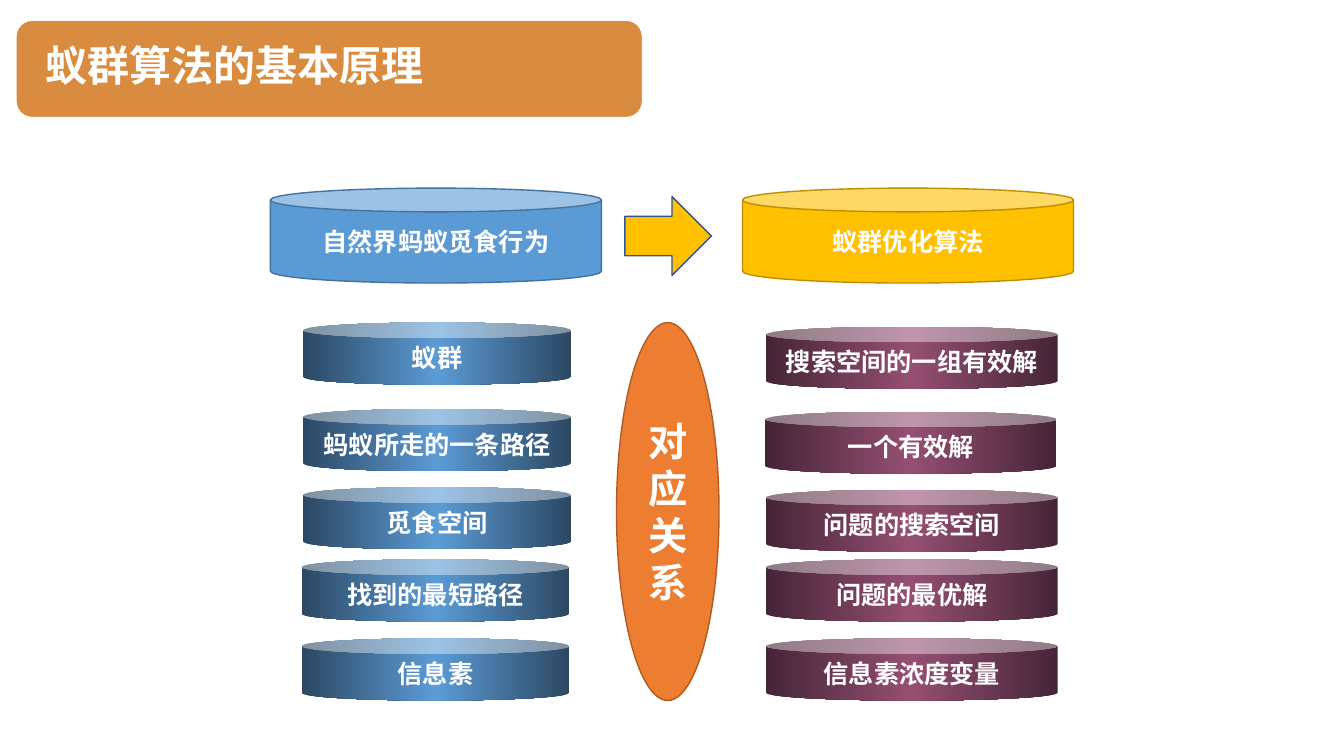
from copy import deepcopy
from dataclasses import dataclass

from pptx import Presentation
from pptx.dml.color import RGBColor
from pptx.enum.shapes import MSO_SHAPE
from pptx.enum.text import MSO_ANCHOR, MSO_AUTO_SIZE, PP_ALIGN
from pptx.oxml.ns import qn
from pptx.util import Inches, Pt


@dataclass(frozen=True)
class Theme:
    white: str = "FFFFFF"
    banner: str = "D98B3F"
    blue: tuple = ("5B9BD5", "43739E")
    gold: tuple = ("FFC000", "BD8E00")
    arrow: tuple = ("FFC000", "325491")
    orange: tuple = ("ED7D31", "AF5C24")
    blue_shine: tuple = ("2C4863", "5B9BD5", "2C4863")
    plum_shine: tuple = ("452535", "954F72", "452535")
    title_size: int = 30
    link_size: int = 28
    label_size: int = 18
    title_font: str = "Calibri"
    head_font: str = "DejaVu Sans"
    item_font: str = "Arial"
    link_font: str = "Noto Sans CJK JP"


def apply_formats(obj, formats):
    for name, value in formats.items():
        setattr(obj, name, value)


class SlideBuilder:
    COLS, ROWS = 160, 90

    def __init__(self, prs, theme):
        self.theme = theme
        self.s = prs.slides.add_slide(prs.slide_layouts[5])
        self.col = prs.slide_width / self.COLS
        self.row = prs.slide_height / self.ROWS

    def box(self, x, y, w, h):
        return {
            "left": round(x * self.col),
            "top": round(y * self.row),
            "width": round(w * self.col),
            "height": round(h * self.row),
        }

    def label(self, sp, text, font, size, align=PP_ALIGN.CENTER, **frame):
        tf = sp.text_frame
        apply_formats(tf, {"vertical_anchor": MSO_ANCHOR.MIDDLE, "word_wrap": True, **frame})
        p = tf.paragraphs[0]
        p.alignment = align
        r = p.add_run()
        r.text = text
        apply_formats(r.font, {"name": font, "size": Pt(size), "bold": True})
        r.font.color.rgb = RGBColor.from_string(self.theme.white)
        return p

    def shape(self, kind, at, fill, line):
        sp = self.s.shapes.add_shape(kind, **self.box(*at))
        sp.shadow.inherit = False
        sp.fill.solid()
        sp.fill.fore_color.rgb = RGBColor.from_string(fill)
        sp.line.color.rgb = RGBColor.from_string(line)
        sp.line.width = Pt(1)
        return sp

    def item(self, at, text, shine):
        sp = self.shape(MSO_SHAPE.CAN, at, shine[1], shine[0])
        sp.line.fill.background()
        sp.fill.gradient()
        sp.fill.gradient_angle = 0
        stops = sp.element.find(".//" + qn("a:gsLst"))
        stops.insert(1, deepcopy(stops[0]))
        for stop, position, color in zip(sp.fill.gradient_stops, (0, 0.5, 1), shine):
            stop.position = position
            stop.color.rgb = RGBColor.from_string(color)
        self.label(sp, text, self.theme.item_font, self.theme.label_size, word_wrap=False)

    def header(self, at, text, colors):
        sp = self.shape(MSO_SHAPE.CAN, at, *colors)
        self.label(sp, text, self.theme.head_font, self.theme.label_size)

    def link(self, at, text):
        sp = self.shape(MSO_SHAPE.OVAL, at, *self.theme.orange)
        self.label(sp, text, self.theme.link_font, self.theme.link_size)

    def title(self, banner_at, title_at, text):
        banner = self.shape(MSO_SHAPE.ROUNDED_RECTANGLE, banner_at,
                            self.theme.banner, self.theme.white)
        title = self.s.shapes.title
        apply_formats(title, self.box(*title_at))
        p = self.label(title, text, self.theme.title_font, self.theme.title_size,
                       PP_ALIGN.LEFT, auto_size=MSO_AUTO_SIZE.NONE,
                       margin_left=Inches(0.24), margin_right=Inches(0.24),
                       margin_top=0, margin_bottom=0)
        p.line_spacing = 0.9
        title.element.addprevious(banner.element)


ANT_ITEMS = [
    (36.1, 38.4, "蚁群"),
    (36.1, 48.7, "蚂蚁所走的一条路径"),
    (36.1, 58, "觅食空间"),
    (35.9, 66.6, "找到的最短路径"),
    (35.9, 76, "信息素"),
]
ALGORITHM_ITEMS = [
    (91.2, 38.9, "搜索空间的一组有效解"),
    (91.1, 49, "一个有效解"),
    (91.2, 58.3, "问题的搜索空间"),
    (91.2, 66.6, "问题的最优解"),
    (91.2, 76, "信息素浓度变量"),
]


def main():
    prs = Presentation()
    apply_formats(prs, {"slide_width": Inches(13.33), "slide_height": Inches(7.5)})
    theme = Theme()
    b = SlideBuilder(prs, theme)

    b.title((1.9, 2.4, 74.6, 11.6), (2.5, 2.9, 73.6, 10.4), "蚁群算法的基本原理")
    b.header((32.2, 22.4, 39.4, 11.3), "自然界蚂蚁觅食行为", theme.blue)
    b.header((88.4, 22.4, 39.4, 11.3), "蚁群优化算法", theme.gold)
    b.shape(MSO_SHAPE.RIGHT_ARROW, (74.4, 23.4, 10.3, 9.4), *theme.arrow)

    for items, width, shine in (
        (ANT_ITEMS, 31.9, theme.blue_shine),
        (ALGORITHM_ITEMS, 34.7, theme.plum_shine),
    ):
        for x, y, text in items:
            b.item((x, y, width, 7.4), text, shine)

    b.link((73.4, 38.4, 12.2, 45), "对应关系")
    prs.save("out.pptx")


if __name__ == "__main__":
    main()
